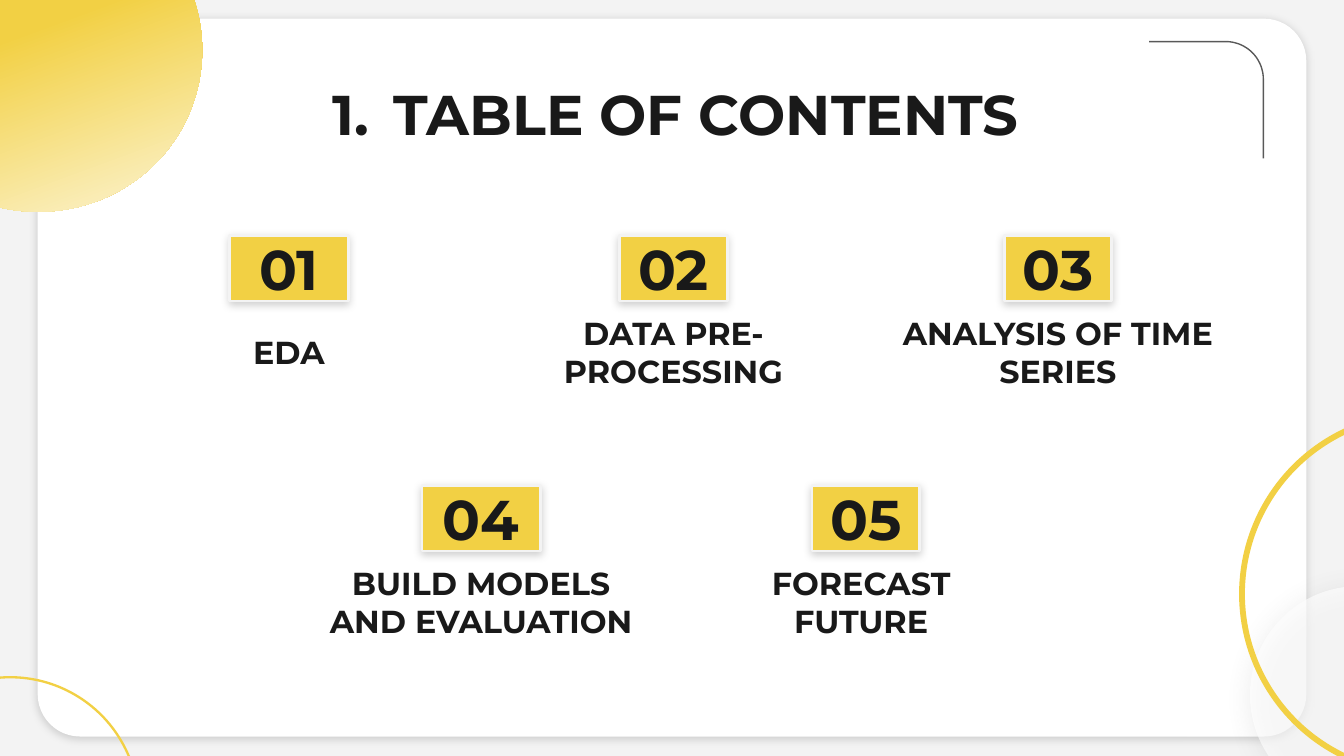
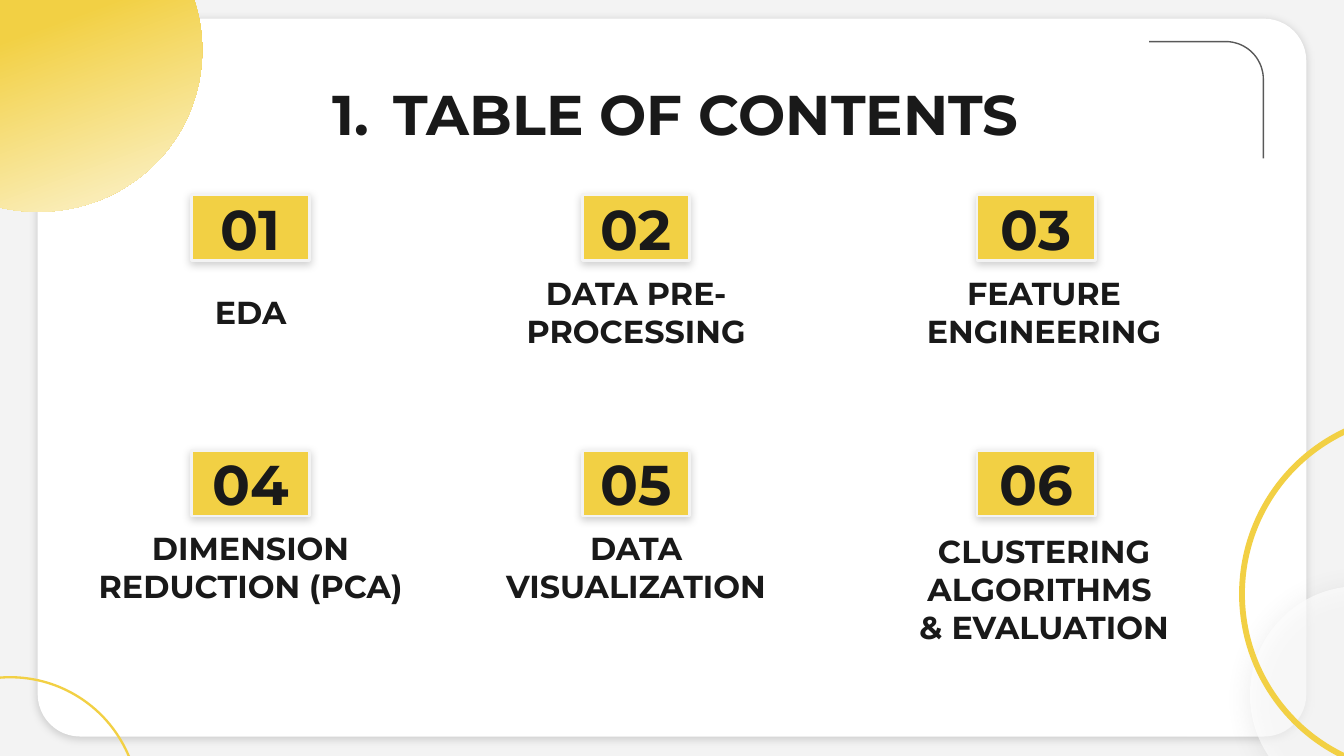
import math
from lxml import etree
from pptx import Presentation
from pptx.dml.color import RGBColor
from pptx.enum.shapes import MSO_SHAPE
from pptx.enum.text import MSO_ANCHOR, PP_ALIGN
from pptx.oxml.ns import qn
from pptx.util import Pt

RECT, ROUND_RECT = MSO_SHAPE.RECTANGLE, MSO_SHAPE.ROUNDED_RECTANGLE
OVAL, DONUT = MSO_SHAPE.OVAL, MSO_SHAPE.DONUT
TOP, MIDDLE, BOTTOM = MSO_ANCHOR.TOP, MSO_ANCHOR.MIDDLE, MSO_ANCHOR.BOTTOM
CENTER = PP_ALIGN.CENTER

FONT = "Montserrat"
YELLOW, WHITE, PALE, GREY, INK, BLACK = (
    "F2D044", "FFFFFF", "F3F3F3", "595959", "191919", "000000")
SLIDE_W, SLIDE_H = 720, 405
SLIDE_BOX = (0, 0, SLIDE_W, SLIDE_H)
TITLE_SIZE, LABEL_SIZE = 30, 17
WIDE, NARROW, BADGE_H = 63.4, 57.6, 35.3
LABEL_W = 196
# Number of label lines -> offset below the badge's top, height
LABEL_ROWS = {1: (44.6, 35.3), 2: (37, 53.3), 3: (37, 74.9)}


def rgb(color):
    return RGBColor.from_string(color)


def add_shadow(sp, color, alpha, blur, dist, angle):
    effects = sp._element.spPr.find(qn("a:effectLst"))
    shadow = etree.SubElement(
        effects, qn("a:outerShdw"), blurRad=str(Pt(blur)), dist=str(Pt(dist)),
        dir=str(angle * 60000), algn="bl", rotWithShape="0")
    clr = etree.SubElement(shadow, qn("a:srgbClr"), val=color)
    etree.SubElement(clr, qn("a:alpha"), val=str(alpha * 1000))


def add_shape(s, kind, x, y, w, h, fill, adj=None):
    sp = s.shapes.add_shape(kind, Pt(x), Pt(y), Pt(w), Pt(h))
    sp.shadow.inherit = False
    sp.fill.solid()
    sp.fill.fore_color.rgb = rgb(fill)
    sp.line.fill.background()
    if adj is not None:
        sp.adjustments[0] = adj
    return sp


def write(sp, lines, size, anchor):
    tf = sp.text_frame
    tf.word_wrap = True
    tf.vertical_anchor = anchor
    tf.margin_left = tf.margin_right = tf.margin_top = tf.margin_bottom = Pt(7.2)
    tf.text = "\n".join(lines)
    for p in tf.paragraphs:
        p.alignment = CENTER
        p.font.name, p.font.size, p.font.bold = FONT, Pt(size), True
        p.font.color.rgb = rgb(INK)


def add_text(s, x, y, w, h, lines, size, anchor):
    sp = s.shapes.add_textbox(Pt(x), Pt(y), Pt(w), Pt(h))
    write(sp, lines, size, anchor)
    return sp


def corner_line(s, x, y, w, h, radius):
    """Thin line along the top, round the corner and down the right side."""
    cx, cy = x + w - radius, y + radius
    angles = [math.radians(a) for a in range(-90, 1, 5)]
    points = [(cx + radius * math.cos(a), cy + radius * math.sin(a)) for a in angles]
    points.append((x + w, y + h))
    builder = s.shapes.build_freeform(Pt(x), Pt(y))
    builder.add_line_segments([(Pt(px), Pt(py)) for px, py in points], close=False)
    sp = builder.convert_to_shape()
    sp.shadow.inherit = False
    sp.fill.background()
    sp.line.color.rgb = rgb(GREY)
    sp.line.width = Pt(0.75)


def backdrop(s, box):
    x, y, w, h = box
    s.background.fill.solid()
    s.background.fill.fore_color.rgb = rgb(PALE)

    # White panel
    panel = add_shape(s, ROUND_RECT, x + 20.2, y + 10, w - 40.4, h - 20.4, WHITE, 0.059)
    add_shadow(panel, BLACK, 17, 4.5, 1.5, 90)

    # Translucent disc and yellow rings
    disc = add_shape(s, OVAL, x + w - 50.4, y + h - 91, 116.6, 116.6, WHITE)
    disc.rotation = 257.6
    clr = disc._element.spPr.find(qn("a:solidFill"))[0]
    etree.SubElement(clr, qn("a:alpha"), val="62000")
    add_shadow(disc, GREY, 19, 14.6, 2.2, 74)
    add_shape(s, DONUT, x + w - 56.2, y + h - 184.7, 195.8, 195.8, YELLOW, 0.016)
    add_shape(s, DONUT, x - 64, y + h - 42.8, 139, 139, YELLOW, 0.009)

    corner_line(s, x + w - 104.4, y + 22.3, 61.2, 62.6, 20.2)

    # Gradient disc
    sun = add_shape(s, OVAL, x - 71.3, y - 62.6, 180, 175.7, YELLOW)
    sun.rotation = 204.8
    sun.fill.gradient()
    sun.fill.gradient_angle = 135
    for stop, pos, color in zip(sun.fill.gradient_stops, (0.47, 1), (YELLOW, WHITE)):
        stop.position = pos
        stop.color.rgb = rgb(color)


def numbered_title(s, box, text):
    x, y, w, h = box
    sp = add_text(s, x, y, w, h, [text], TITLE_SIZE, TOP)
    pPr = sp.text_frame.paragraphs[0]._p.get_or_add_pPr()
    pPr.set("marL", str(Pt(36)))
    pPr.set("indent", str(Pt(-33)))
    # Bullet elements go ahead of the default run properties
    bu_clr = etree.Element(qn("a:buClr"))
    etree.SubElement(bu_clr, qn("a:srgbClr"), val=INK)
    pPr.insert(0, bu_clr)
    pPr.insert(1, etree.Element(qn("a:buAutoNum"), type="arabicPeriod"))


def entry(s, cx, top, number, badge_w, rows, lines, label_dx=0):
    """Number badge with its label below, centred on cx."""
    badge = add_shape(s, RECT, cx - badge_w / 2, top, badge_w, BADGE_H, YELLOW)
    badge.line.color.rgb = rgb(PALE)
    badge.line.width = Pt(1.5)
    add_shadow(badge, BLACK, 18, 4.5, 1.5, 90)
    write(badge, [f"{number:02}"], TITLE_SIZE, MIDDLE)
    dy, h = LABEL_ROWS[rows]
    add_text(s, cx + label_dx - LABEL_W / 2, top + dy, LABEL_W, h,
             lines, LABEL_SIZE, BOTTOM)


def contents_slide(prs, grid):
    s = prs.slides.add_slide(prs.slide_layouts[6])
    backdrop(s, SLIDE_BOX)
    numbered_title(s, (56.9, 35.3, 607, 45.4), "TABLE OF CONTENTS")
    number = 0
    for top, centres, cells in grid:
        for cx, cell in zip(centres, cells):
            number += 1
            entry(s, cx, top, number, *cell)


def main():
    prs = Presentation()
    prs.slide_width, prs.slide_height = Pt(SLIDE_W), Pt(SLIDE_H)

    eda = (WIDE, 1, ["EDA"])
    preprocessing = (NARROW, 2, ["DATA PRE-PROCESSING"])

    # Three entries over two, the lower row set in by half a step
    first, step = 154.8, 206
    contents_slide(prs, [
        (126, [first + step * i for i in range(3)], [
            eda,
            preprocessing,
            (NARROW, 2, ["ANALYSIS OF TIME SERIES"])]),
        (259.9, [first + step * (i + 0.5) for i in range(2)], [
            (WIDE, 2, ["BUILD MODELS AND EVALUATION"]),
            (NARROW, 2, ["FORECAST ", "FUTURE "])]),
    ])

    # Three by two
    centres = (134.3, 340.8, 555.1)
    contents_slide(prs, [
        (104.4, centres, [
            eda,
            preprocessing,
            (WIDE, 2, ["FEATURE ENGINEERING"], 4.3)]),
        (241.2, centres, [
            (WIDE, 2, ["DIMENSION REDUCTION (PCA)"]),
            (NARROW, 2, ["DATA VISUALIZATION"]),
            (WIDE, 3, ["CLUSTERING ALGORITHMS ", "& EVALUATION"], 4.3)]),
    ])
    prs.save("out.pptx")


if __name__ == "__main__":
    main()
